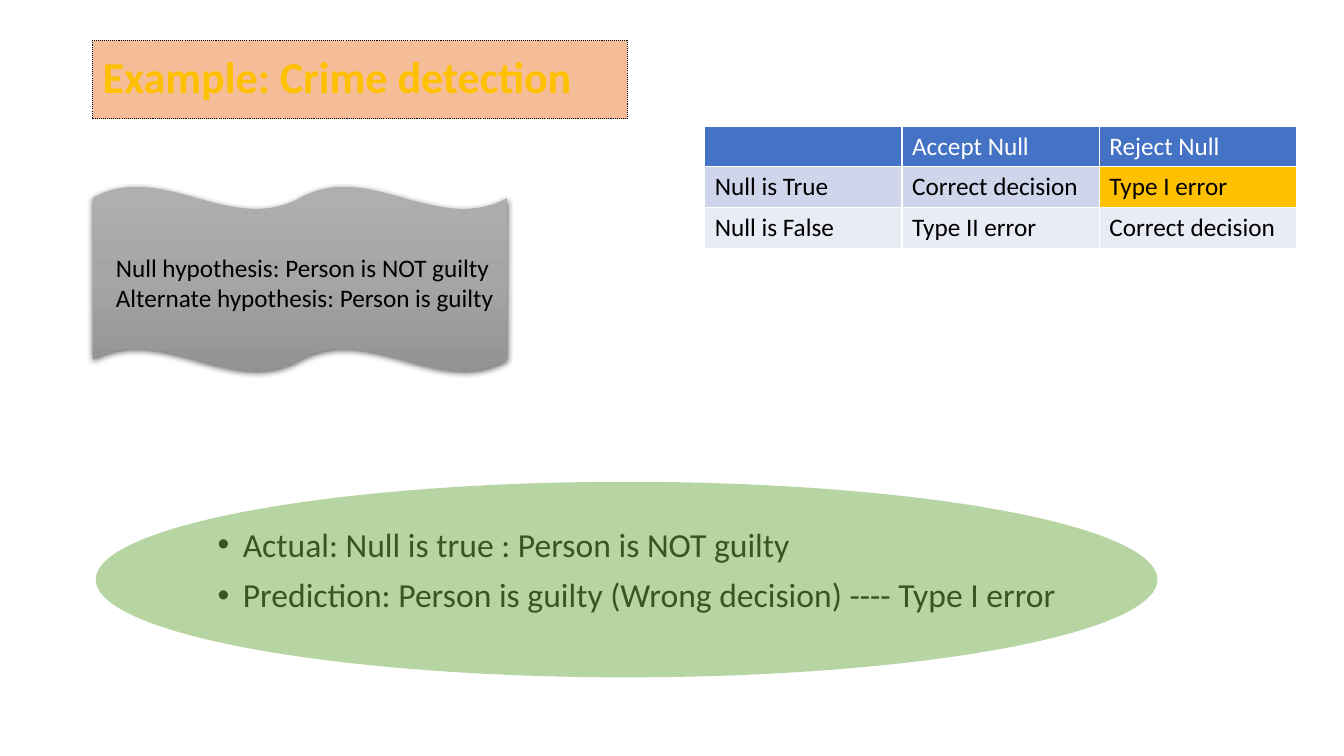
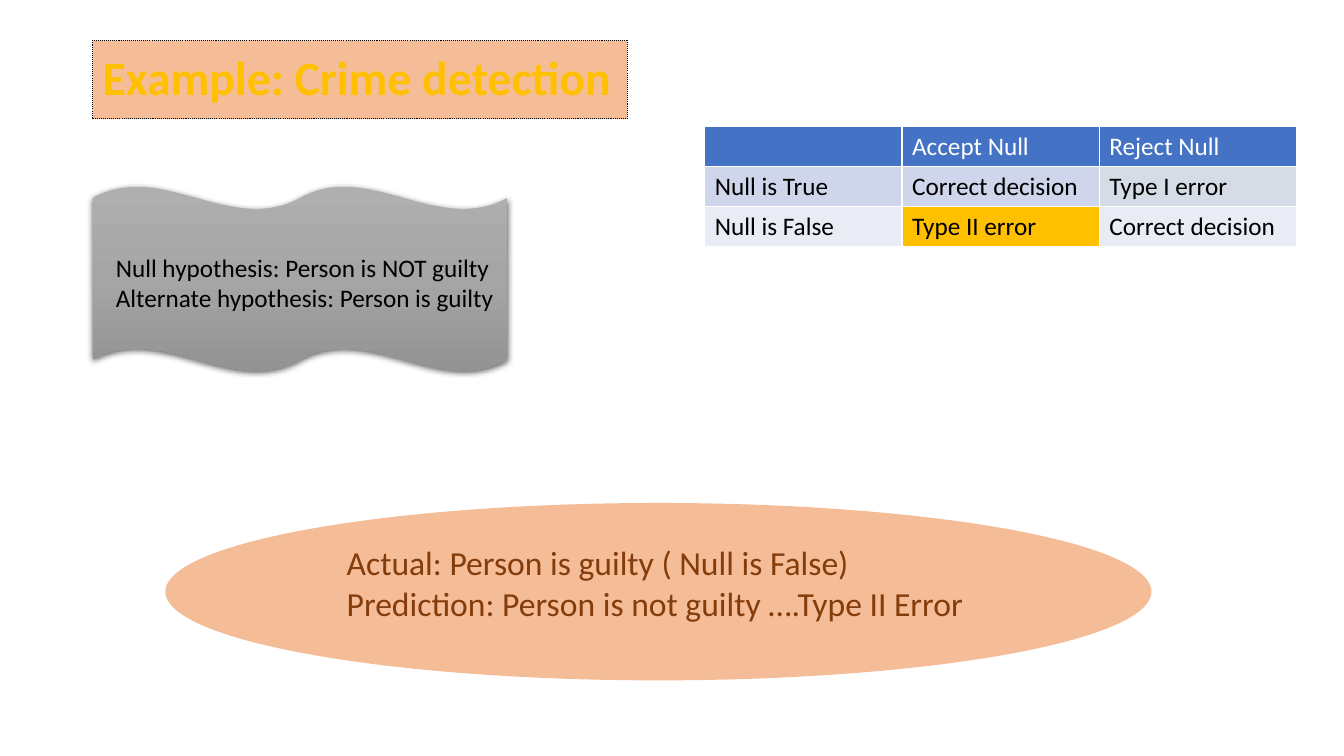
"""Build two slides on type I and type II errors in crime detection."""
from lxml import etree
from pptx import Presentation
from pptx import util as u
from pptx.dml.color import RGBColor
from pptx.enum import dml, shapes, text
from pptx.oxml import parse_xml
from pptx.oxml.ns import nsdecls, qn

FONT = "Calibri"
COLORS = {
    "orange": "ED7D31", "gold": "FFC000", "green": "70AD47", "brown": "843C0B",
    "black": "000000", "white": "FFFFFF", "header": "4472C4",
    "band": "CFD5EA", "light": "E9EBF5", "gray": "D6DCE5",
}
WAVE_STOPS = [(0, "AFAFAF"), (50, "A5A5A5"), (100, "939393")]

TITLE = "Example: Crime detection"
HYPOTHESES = ["Null hypothesis: Person is NOT guilty", "Alternate hypothesis: Person is guilty"]
DECISIONS = [
    ["", "Accept Null", "Reject Null"],
    ["Null is True", "Correct decision", "Type I error"],
    ["Null is False", "Type II error", "Correct decision"],
]
ROW_FILLS = ["header", "band", "light"]

TITLE_BOX = (0.92, 0.4, 5.3, 0.78)
WAVE_BOX = (0.92, 1.85, 4.11, 1.83)
HYPOTHESES_BOX = (1.05, 2.45, 3.98, 1.01)
TABLE_BOX = (6.99, 1.25, 5.87, 1.2)

SLIDES = [
    {
        "title_size": 31.5,
        "cell_fills": {(1, 2): "gold"},
        "oval": (0.95, 4.78, 10.53, 1.94), "oval_color": "green", "oval_on_top": True,
        "verdict": ["Actual: Null is true : Person is NOT guilty",
                    "Prediction: Person is guilty (Wrong decision) ---- Type I error"],
        "verdict_box": (2.06, 5.19, 9.42, 1.2),
        "verdict_format": {"color": "black", "bullet": True, "spacing": 0.9, "before": 10},
    },
    {
        "title_size": 34.1,
        "cell_fills": {(1, 2): "gray", (2, 1): "gold"},
        "oval": (1.64, 4.99, 9.78, 1.76), "oval_color": "orange", "oval_on_top": False,
        "verdict": ["Actual: Person is guilty ( Null is False)",
                    "Prediction: Person is not guilty ….Type II Error"],
        "verdict_box": (3.34, 5.33, 6.97, 0.91),
        "verdict_format": {"color": "brown"},
    },
]


def rgb(name):
    return RGBColor.from_string(COLORS[name])


def inches(box):
    return [u.Inches(length) for length in box]


def write(frame, lines, size=18, color="black", bold=False, bullet=False,
          spacing=None, before=0, anchor=text.MSO_ANCHOR.TOP):
    frame.word_wrap = True
    frame.vertical_anchor = anchor
    for number, line in enumerate(lines):
        paragraph = frame.paragraphs[0] if number == 0 else frame.add_paragraph()
        paragraph.alignment = text.PP_ALIGN.LEFT
        paragraph.space_before = u.Pt(before)
        if spacing:
            paragraph.line_spacing = spacing
        if bullet:
            props = paragraph._p.get_or_add_pPr()
            props.set("marL", str(u.Inches(0.25)))
            props.set("indent", str(u.Inches(-0.25)))
            etree.SubElement(props, qn("a:buFont"), typeface="Arial")
            etree.SubElement(props, qn("a:buChar"), char="•")
        run = paragraph.add_run()
        run.text = line
        run.font.name, run.font.size, run.font.bold = FONT, u.Pt(size), bold
        run.font.color.rgb = rgb(color)


def add_text(slide, box, lines, **format):
    write(slide.shapes.add_textbox(*inches(box)).text_frame, lines, **format)


def add_plain(slide, preset, box):
    shape = slide.shapes.add_shape(preset, *inches(box))
    shape.shadow.inherit = False
    shape.line.fill.background()
    return shape


def add_tinted(slide, preset, box, color):
    shape = add_plain(slide, preset, box)
    shape.fill.solid()
    shape.fill.fore_color.rgb = rgb(color)
    tint = shape._element.spPr.find(qn("a:solidFill"))[0]
    etree.SubElement(tint, qn("a:alpha"), val="50000")
    return shape


def add_title(slide, size):
    banner = add_tinted(slide, shapes.MSO_SHAPE.RECTANGLE, TITLE_BOX, "orange")
    banner.line.color.rgb = rgb("black")
    banner.line.width = u.Pt(0.75)
    banner.line.dash_style = dml.MSO_LINE.ROUND_DOT
    write(banner.text_frame, [TITLE], size=size, color="gold", bold=True,
          spacing=0.9, anchor=text.MSO_ANCHOR.MIDDLE)


def add_hypotheses(slide):
    wave = add_plain(slide, shapes.MSO_SHAPE.DOUBLE_WAVE, WAVE_BOX)
    wave.fill.gradient()
    wave.fill.gradient_angle = 270
    props = wave._element.spPr
    stops = props.find(qn("a:gradFill")).find(qn("a:gsLst"))
    for stop in list(stops):
        stops.remove(stop)
    for position, color in WAVE_STOPS:
        stop = etree.SubElement(stops, qn("a:gs"), pos=str(position * 1000))
        etree.SubElement(stop, qn("a:srgbClr"), val=color)
    props.find(qn("a:effectLst")).append(parse_xml(
        f'<a:outerShdw {nsdecls("a")} blurRad="{u.Pt(4.5)}" dist="{u.Pt(1.5)}" dir="5400000" '
        f'algn="ctr" rotWithShape="0"><a:srgbClr val="{COLORS["black"]}">'
        '<a:alpha val="63000"/></a:srgbClr></a:outerShdw>'))
    add_text(slide, HYPOTHESES_BOX, HYPOTHESES)


def add_borders(cell):
    props = cell._tc.get_or_add_tcPr()
    for index, side in enumerate(("lnL", "lnR", "lnT", "lnB")):
        props.insert(index, parse_xml(
            f'<a:{side} {nsdecls("a")} w="{u.Pt(1)}"><a:solidFill>'
            f'<a:srgbClr val="{COLORS["white"]}"/></a:solidFill></a:{side}>'))


def add_decisions(slide, cell_fills):
    rows, columns = len(DECISIONS), len(DECISIONS[0])
    table = slide.shapes.add_table(rows, columns, *inches(TABLE_BOX)).table
    for row, labels in enumerate(DECISIONS):
        for column, label in enumerate(labels):
            cell = table.cell(row, column)
            cell.fill.solid()
            cell.fill.fore_color.rgb = rgb(cell_fills.get((row, column), ROW_FILLS[row]))
            add_borders(cell)
            if label:
                write(cell.text_frame, [label], color="black" if row else "white")


def add_verdict(slide, content):
    def add_oval():
        add_tinted(slide, shapes.MSO_SHAPE.OVAL, content["oval"], content["oval_color"])

    def add_lines():
        add_text(slide, content["verdict_box"], content["verdict"], size=24,
                 **content["verdict_format"])

    layers = [add_lines, add_oval] if content["oval_on_top"] else [add_oval, add_lines]
    for add_layer in layers:
        add_layer()


def main():
    deck = Presentation()
    deck.slide_width, deck.slide_height = inches((13.33, 7.5))
    for content in SLIDES:
        slide = deck.slides.add_slide(deck.slide_layouts[6])
        add_title(slide, content["title_size"])
        add_decisions(slide, content["cell_fills"])
        add_hypotheses(slide)
        add_verdict(slide, content)
    deck.save("out.pptx")


if __name__ == "__main__":
    main()
